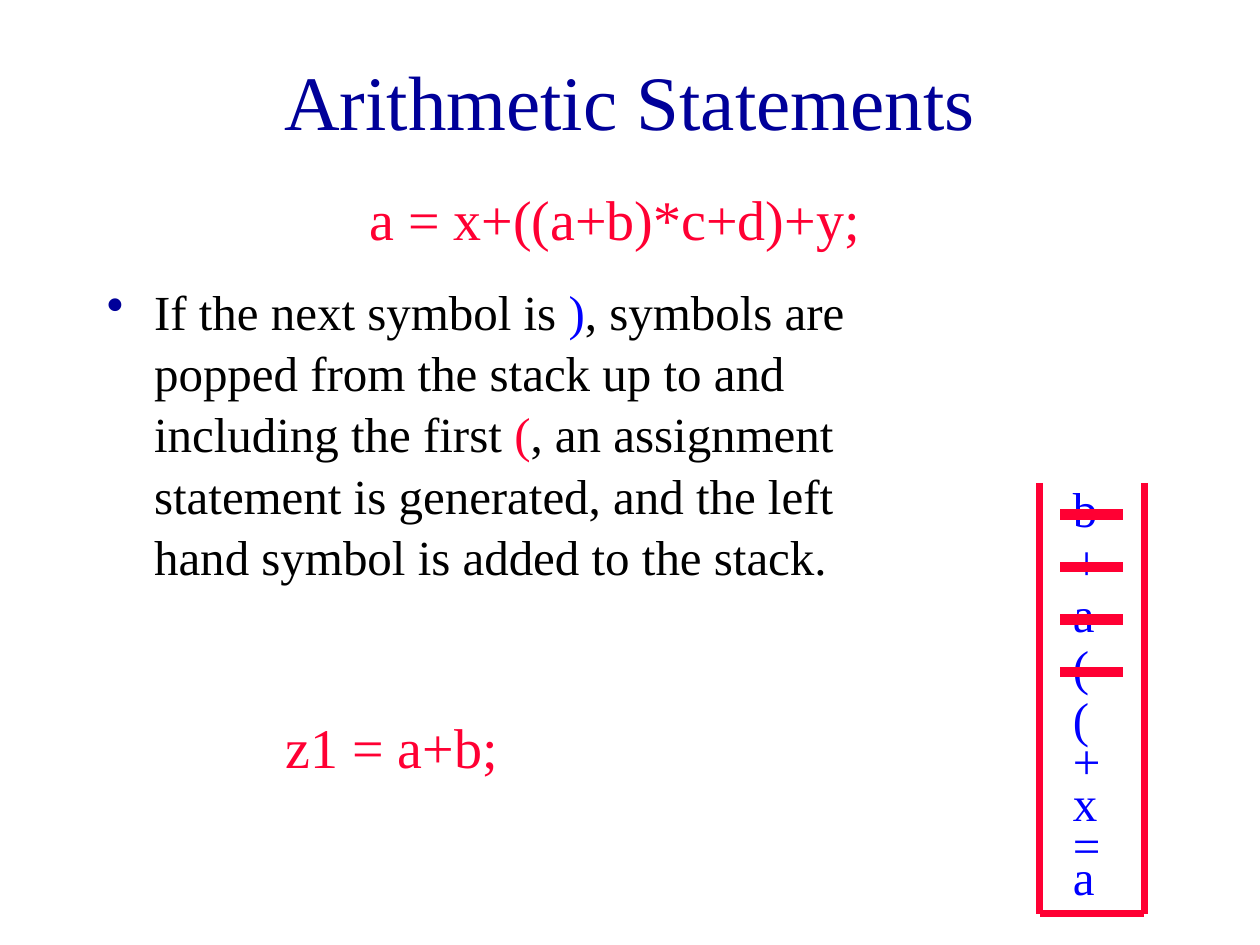
import pptx
import pptx.util
import pptx.dml.color
import pptx.enum.shapes
import pptx.enum.text
import pptx.oxml.ns
import lxml.etree

RGB = pptx.dml.color.RGBColor
NAVY = RGB(0x00, 0x00, 0x99)
BLUE = RGB(0x00, 0x00, 0xFF)
RED = RGB(0xFF, 0x00, 0x33)
BLACK = RGB(0x00, 0x00, 0x00)
FONT = "Times New Roman"
PX = 7620  # EMU; 120 px to the inch

ALIGN = pptx.enum.text.PP_ALIGN
ANCHOR = pptx.enum.text.MSO_ANCHOR

TITLE = [("Arithmetic Statements", NAVY)]
STATEMENT = [("a = x+((a+b)*c+d)+y;", RED)]
RULE = [
    ("If the next symbol is ", BLACK),
    (")", BLUE),
    (", symbols are popped from the stack up to and including the first ", BLACK),
    ("(", RED),
    (", an assignment statement is generated, and the left hand symbol "
     "is added to the stack.", BLACK),
]
GENERATED = [("z1 = a+b;", RED)]

# Symbols from the top of the stack down, with the top of each box
STACK = [("b", 450), ("+", 500), ("a", 550), ("(", 600), ("(", 650),
         ("+", 690), ("x", 730), ("=", 770), ("a", 800)]
POPPED = 4
SYMBOL_X, SYMBOL_W, SYMBOL_H = 1010, 90, 68
STRIKE_W, STRIKE_DROP = 60, 40
WALL_LEFT, WALL_RIGHT, WALL_TOP, WALL_BOTTOM = 990, 1090, 460, 870


def add_text(shapes, box, runs, size, wrap=True, anchor=ANCHOR.TOP, **formats):
    """Add a text box of one paragraph; formats are paragraph attributes."""
    sp = shapes.add_textbox(*(v * PX for v in box))
    tf = sp.text_frame
    tf.word_wrap = wrap
    tf.vertical_anchor = anchor
    p = tf.paragraphs[0]
    for name, value in formats.items():
        setattr(p, name, value)
    for text, color in runs:
        r = p.add_run()
        r.text = text
        for name, value in {"name": FONT, "size": pptx.util.Pt(size)}.items():
            setattr(r.font, name, value)
        r.font.color.rgb = color
    return p


def add_bullet(p, char, color, indent):
    pPr = p._p.get_or_add_pPr()
    pPr.set("marL", str(indent * PX))
    pPr.set("indent", str(-indent * PX))
    qn = pptx.oxml.ns.qn
    buClr = lxml.etree.SubElement(pPr, qn("a:buClr"))
    lxml.etree.SubElement(buClr, qn("a:srgbClr")).set("val", str(color))
    lxml.etree.SubElement(pPr, qn("a:buChar")).set("char", char)


def add_line(shapes, ends, width):
    line = shapes.add_connector(pptx.enum.shapes.MSO_CONNECTOR.STRAIGHT,
                                *(v * PX for v in ends))
    line.line.color.rgb = RED
    line.line.width = pptx.util.Pt(width)
    lxml.etree.SubElement(line._element.spPr, pptx.oxml.ns.qn("a:effectLst"))


def add_stack(shapes):
    group = shapes.add_group_shape().shapes
    for ends in [(WALL_LEFT, WALL_TOP, WALL_LEFT, WALL_BOTTOM),
                 (WALL_LEFT, WALL_BOTTOM, WALL_RIGHT, WALL_BOTTOM),
                 (WALL_RIGHT, WALL_TOP, WALL_RIGHT, WALL_BOTTOM)]:
        add_line(group, ends, 4)
    for symbol, top in reversed(STACK):
        add_text(group, (SYMBOL_X, top, SYMBOL_W, SYMBOL_H), [(symbol, BLUE)], 28)
    for _, top in STACK[:POPPED]:
        y = top + STRIKE_DROP
        add_line(shapes, (SYMBOL_X, y, SYMBOL_X + STRIKE_W, y), 6)


def main():
    prs = pptx.Presentation()
    prs.slide_width, prs.slide_height = 1200 * PX, 900 * PX
    s = prs.slides.add_slide(prs.slide_layouts[6])
    add_text(s.shapes, (90, 20, 1020, 150), TITLE, 44,
             anchor=ANCHOR.MIDDLE, alignment=ALIGN.CENTER)
    p = add_text(s.shapes, (90, 260, 730, 380), RULE, 28, line_spacing=1.04)
    add_bullet(p, "•", NAVY, 45)
    add_text(s.shapes, (340, 170, 540, 77), STATEMENT, 32)
    add_stack(s.shapes)
    add_text(s.shapes, (260, 680, 227, 70), GENERATED, 32, wrap=False,
             line_spacing=0.9)
    prs.save("out.pptx")


if __name__ == "__main__":
    main()
